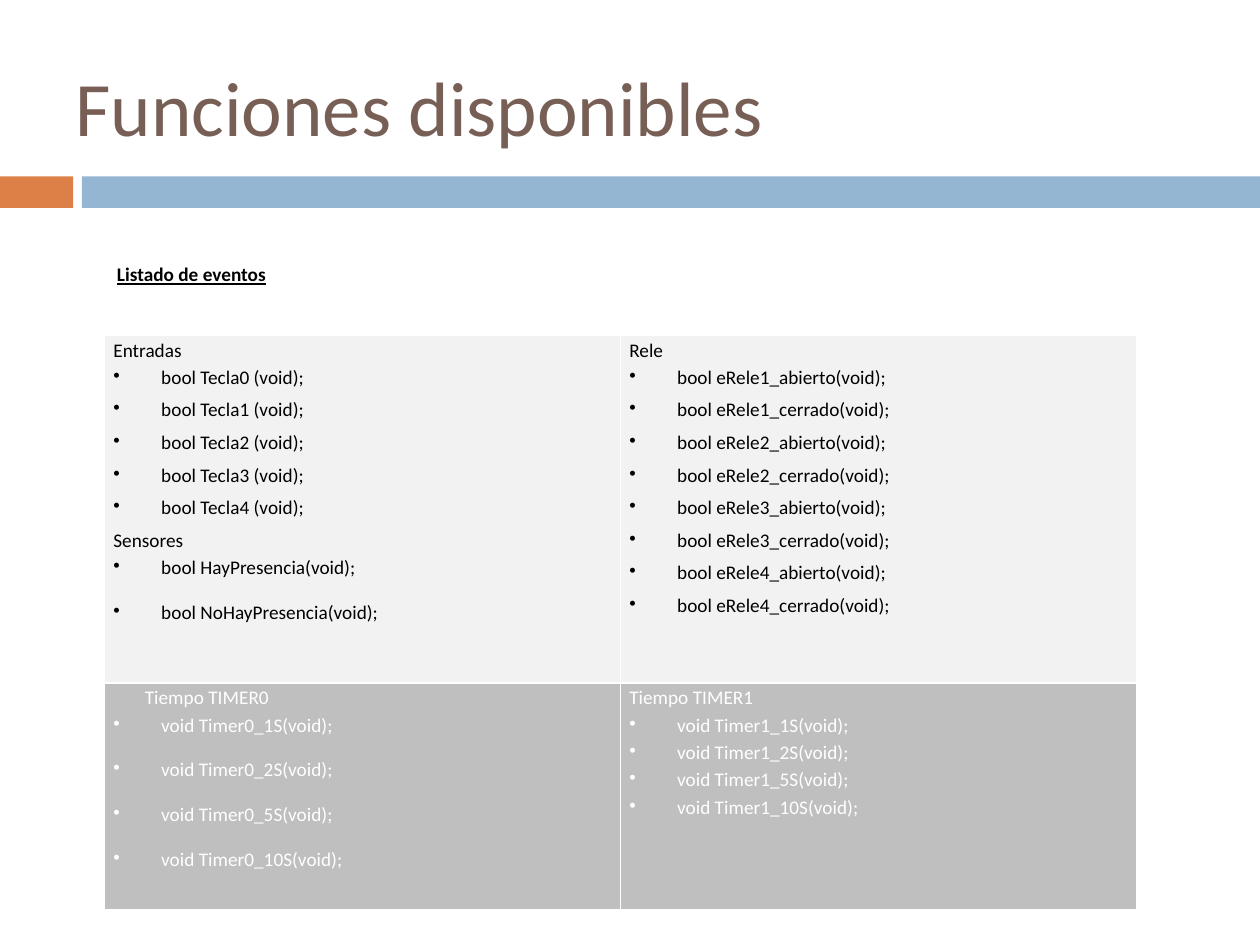
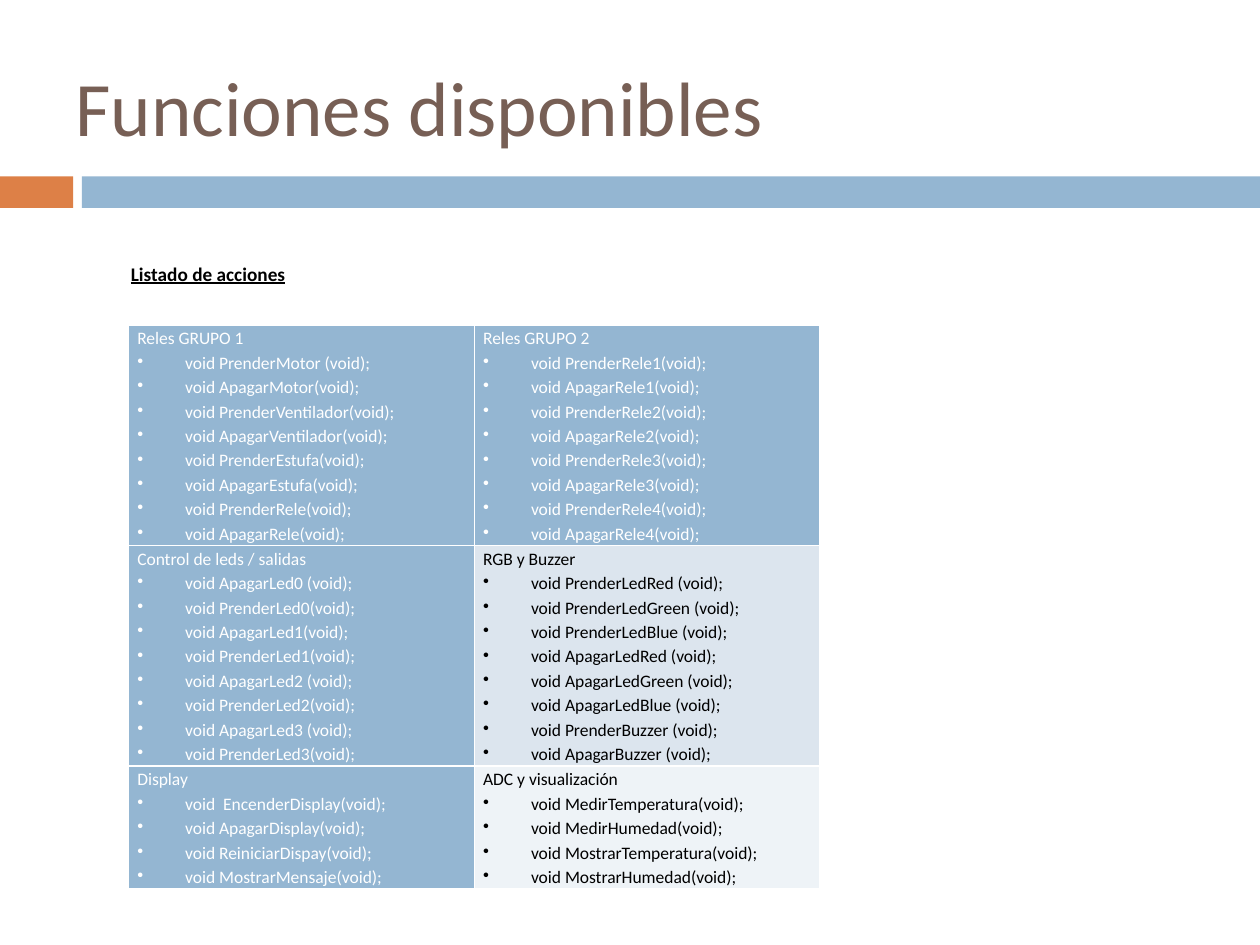
from dataclasses import dataclass

from lxml import etree
from pptx import Presentation
from pptx.dml.color import RGBColor
from pptx.enum import shapes, text
from pptx.oxml import ns
from pptx.util import Inches, Pt

# Shared look
FONT = "Calibri"
BLACK, WHITE = "000000", "FFFFFF"
BROWN, ORANGE, BLUE = "775F55", "DD8047", "94B6D2"
LIGHT_GREY, GREY = "F2F2F2", "BFBFBF"
PALE_BLUE, PALEST_BLUE = "DCE5EE", "EEF3F7"
BULLET_INDENT = 0.38


@dataclass
class Group:
    """A heading with its bulleted functions."""
    heading: str
    functions: list
    space_after: int = 0
    heading_indent: float = 0


@dataclass
class Cell:
    groups: list
    fill: str
    color: str


def rgb(color):
    return RGBColor.from_string(color)


def set_font(paragraph, size, color, bold=False, underline=False):
    font = paragraph.font
    font.name, font.size = FONT, Pt(size)
    font.bold, font.underline = bold, underline
    font.color.rgb = rgb(color)


def place(shape, left, top, width, height):
    shape.left, shape.top = Inches(left), Inches(top)
    shape.width, shape.height = Inches(width), Inches(height)


# Bands, moved from the first slide to the layout so that all slides share them
def add_bands(slide, top=1.4, height=0.25):
    for left, width, color in ((0, 0.58, ORANGE), (0.65, 9.35, BLUE)):
        band = slide.shapes.add_shape(
            shapes.MSO_SHAPE.RECTANGLE,
            Inches(left), Inches(top), Inches(width), Inches(height))
        band.shadow.inherit = False
        band.fill.solid()
        band.fill.fore_color.rgb = rgb(color)
        band.line.fill.background()
        slide.slide_layout.shapes.element.append(band.element)


def add_title(slide, title_text):
    title = slide.shapes.title
    place(title, 0.5, 0.3, 9, 1.09)
    frame = title.text_frame
    frame.text = title_text
    frame.auto_size = text.MSO_AUTO_SIZE.NONE
    frame.vertical_anchor = text.MSO_ANCHOR.MIDDLE
    frame.margin_top = Inches(0.04)
    frame.paragraphs[0].alignment = text.PP_ALIGN.LEFT
    set_font(frame.paragraphs[0], 44, BROWN)


def add_heading(slide, heading, left, top, width, height):
    box = slide.shapes.add_textbox(
        Inches(left), Inches(top), Inches(width), Inches(height))
    frame = box.text_frame
    frame.word_wrap = True
    frame.vertical_anchor = text.MSO_ANCHOR.MIDDLE
    frame.text = heading
    set_font(frame.paragraphs[0], 11, BLACK, bold=True, underline=True)


# Table of functions
def set_borders(table_cell, color=WHITE, width=1):
    properties = table_cell._tc.get_or_add_tcPr()
    for side in ("lnL", "lnR", "lnT", "lnB"):
        line = etree.SubElement(properties, ns.qn(f"a:{side}"), w=str(Pt(width)))
        fill = etree.SubElement(line, ns.qn("a:solidFill"))
        etree.SubElement(fill, ns.qn("a:srgbClr"), val=color)


def set_indent(paragraph, indent, bullet=False):
    properties = paragraph._p.get_or_add_pPr()
    properties.set("marL", str(Inches(indent)))
    properties.set("indent", str(-Inches(indent) if bullet else 0))
    if bullet:
        etree.SubElement(properties, ns.qn("a:buChar"), char="•")


def fill_cell(table_cell, content, size):
    set_borders(table_cell)
    table_cell.fill.solid()
    table_cell.fill.fore_color.rgb = rgb(content.fill)
    table_cell.margin_left = table_cell.margin_right = Inches(0.07)
    table_cell.margin_top = table_cell.margin_bottom = 0

    lines = []
    for group in content.groups:
        lines.append((group.heading, group.heading_indent, 0, False))
        lines += [(function, BULLET_INDENT, group.space_after, True)
                  for function in group.functions]

    frame = table_cell.text_frame
    frame.text = "\n".join(line[0] for line in lines)
    for paragraph, (_, indent, after, bullet) in zip(frame.paragraphs, lines):
        paragraph.line_spacing = 1.15
        paragraph.space_after = Pt(after)
        set_font(paragraph, size, content.color)
        set_indent(paragraph, indent, bullet)


def add_function_table(slide, rows, left, top, width, heights, size):
    columns = len(rows[0])
    table = slide.shapes.add_table(
        len(rows), columns, Inches(left), Inches(top),
        Inches(width), Inches(sum(heights))).table
    table.first_row = table.horz_banding = False
    for column in table.columns:
        column.width = Inches(width / columns)
    for r, (contents, height) in enumerate(zip(rows, heights)):
        table.rows[r].height = Inches(height)
        for c, content in enumerate(contents):
            fill_cell(table.cell(r, c), content, size)


# Slides
def add_functions_slide(prs):
    slide = prs.slides.add_slide(prs.slide_layouts[5])
    add_title(slide, "Funciones disponibles")
    return slide


def timer_functions(number):
    return [f"void Timer{number}_{seconds}S(void);" for seconds in (1, 2, 5, 10)]


def add_events(slide):
    add_heading(slide, "Listado de eventos", 0.83, 2.03, 5.04, 0.29)
    keys = [f"bool Tecla{n} (void);" for n in range(5)]
    sensors = ["bool HayPresencia(void);", "bool NoHayPresencia(void);"]
    relays = [f"bool eRele{n}_{state}(void);"
              for n in range(1, 5) for state in ("abierto", "cerrado")]
    rows = [
        [Cell([Group("Entradas", keys, 3), Group("Sensores", sensors, 10)],
              LIGHT_GREY, BLACK),
         Cell([Group("Rele", relays, 3)], LIGHT_GREY, BLACK)],
        [Cell([Group("Tiempo TIMER0", timer_functions(0), 10, 0.25)], GREY, WHITE),
         Cell([Group("Tiempo TIMER1", timer_functions(1))], GREY, WHITE)],
    ]
    add_function_table(slide, rows, 0.83, 2.66, 8.19, (2.76, 1.8), 11)


def add_actions(slide):
    add_heading(slide, "Listado de acciones", 0.94, 1.92, 9, 0.5)
    group_1 = [f"void {verb}{device}(void);"
               for device in ("Motor", "Ventilador", "Estufa", "Rele")
               for verb in ("Prender", "Apagar")]
    group_1[0] = "void PrenderMotor (void);"
    group_2 = [f"void {verb}Rele{n}(void);"
               for n in range(1, 5) for verb in ("Prender", "Apagar")]
    leds = ["void ApagarLed0 (void);", "void PrenderLed0(void);",
            "void ApagarLed1(void);", "void PrenderLed1(void);",
            "void ApagarLed2 (void);", "void PrenderLed2(void);",
            "void ApagarLed3 (void);", "void PrenderLed3(void);"]
    rgb_buzzer = [f"void {verb}Led{color} (void);"
                  for verb in ("Prender", "Apagar")
                  for color in ("Red", "Green", "Blue")]
    rgb_buzzer += ["void PrenderBuzzer (void);", "void ApagarBuzzer (void);"]
    display = ["void  EncenderDisplay(void);", "void ApagarDisplay(void);",
               "void ReiniciarDispay(void);", "void MostrarMensaje(void);"]
    readings = [f"void {verb}{quantity}(void);"
                for verb in ("Medir", "Mostrar")
                for quantity in ("Temperatura", "Humedad")]
    rows = [
        [Cell([Group("Reles GRUPO 1", group_1)], BLUE, WHITE),
         Cell([Group("Reles GRUPO 2", group_2)], BLUE, WHITE)],
        [Cell([Group("Control de leds / salidas", leds)], BLUE, WHITE),
         Cell([Group("RGB y Buzzer", rgb_buzzer)], PALE_BLUE, BLACK)],
        [Cell([Group("Display", display)], BLUE, WHITE),
         Cell([Group("ADC y visualización", readings)], PALEST_BLUE, BLACK)],
    ]
    add_function_table(slide, rows, 1.02, 2.58, 5.49, (1.75, 1.75, 0.97), 10)


def main():
    prs = Presentation()
    prs.slide_width, prs.slide_height = Inches(10), Inches(7.5)
    events = add_functions_slide(prs)
    add_bands(events)
    add_events(events)
    add_actions(add_functions_slide(prs))
    prs.save("out.pptx")


if __name__ == "__main__":
    main()
